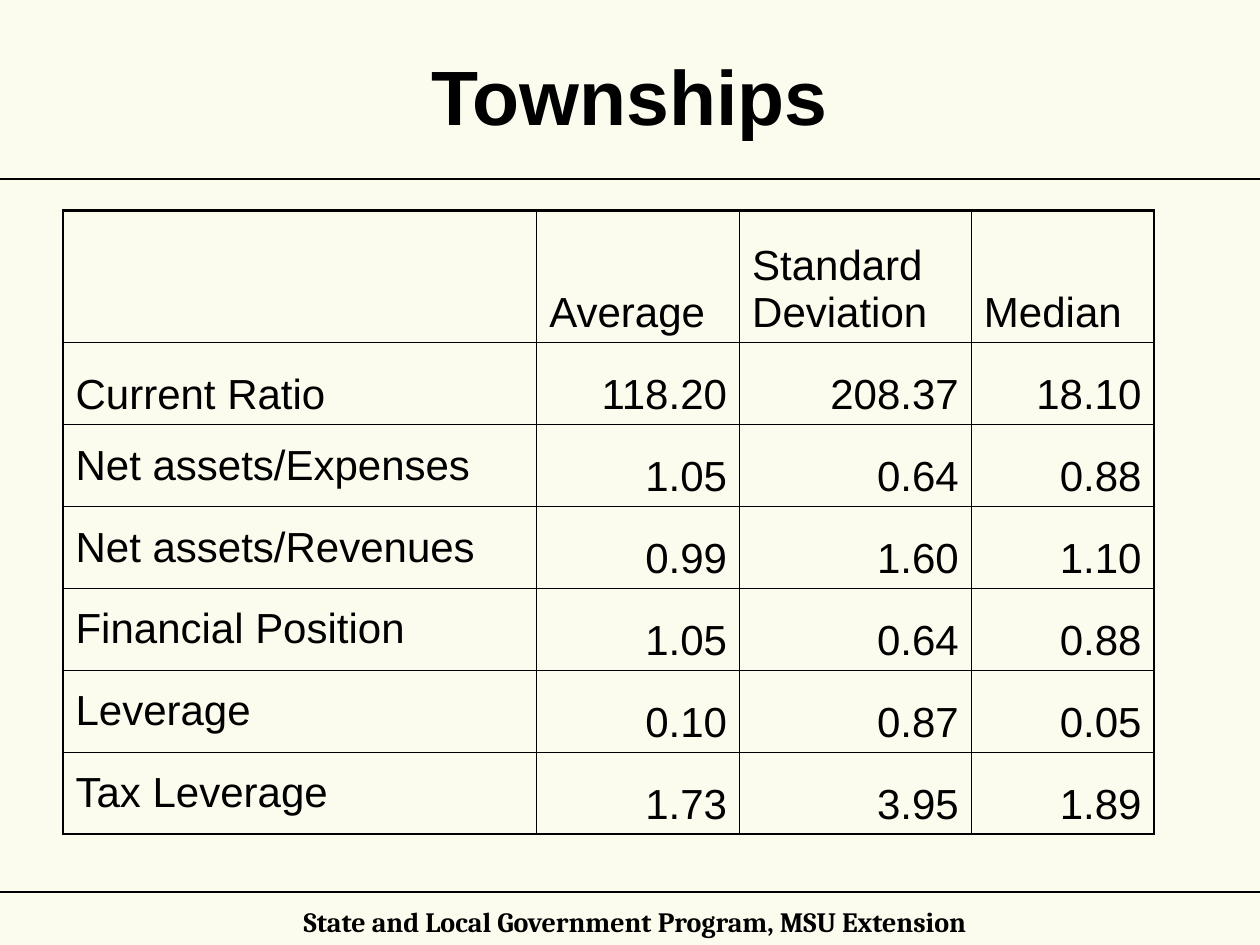
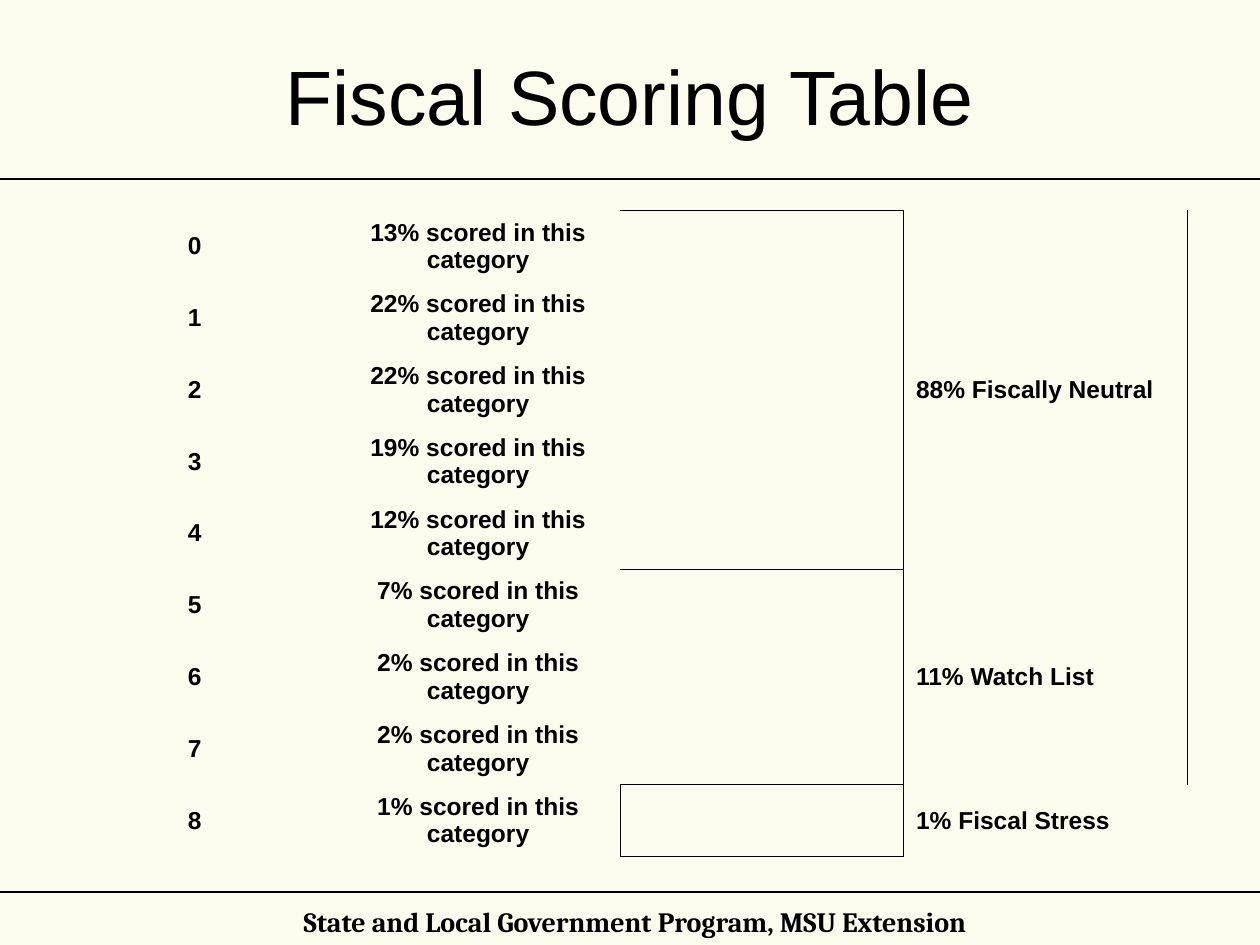
from dataclasses import dataclass

import lxml.etree
import pptx
import pptx.dml.color
import pptx.enum.shapes
import pptx.enum.text
import pptx.oxml.ns
import pptx.presentation
import pptx.slide
import pptx.table
import pptx.util

Inches = pptx.util.Inches
Pt = pptx.util.Pt
Align = pptx.enum.text.PP_ALIGN
Anchor = pptx.enum.text.MSO_ANCHOR
qn = pptx.oxml.ns.qn


@dataclass(frozen=True)
class Theme:
    background: pptx.dml.color.RGBColor = pptx.dml.color.RGBColor(0xFC, 0xFC, 0xEE)
    ink: pptx.dml.color.RGBColor = pptx.dml.color.RGBColor(0, 0, 0)
    body_font: str = "Arial"
    footer_font: str = "Cambria"
    title_size: int = 44
    ratio_size: int = 24
    score_size: int = 14
    footer_size: int = 16
    rule_width: float = 1.25
    thin_border: float = 0.45
    thick_border: float = 1.47


THEME = Theme()
NO_STYLE_NO_GRID = "{2D5ABB26-0587-4C30-8999-92F81FD0307C}"
FOOTER = "State and Local Government Program, MSU Extension"
RULE_TOPS = (1.42, 7.08)


@dataclass(frozen=True)
class TextStyle:
    size: int
    bold: bool = False
    align: Align = Align.LEFT
    anchor: Anchor = Anchor.MIDDLE
    font: str = THEME.body_font


@dataclass(frozen=True)
class Box:
    left: float
    top: float
    width: float
    height: float
    inset_x: float = 0.1
    inset_y: float = 0.05


@dataclass(frozen=True)
class ScoreGroup:
    label: str
    shares: tuple[int, ...]
    bracket_sides: str = "TRB"
    label_sides: str = "LR"


TITLE_BOX = Box(0.5, 0.17, 9, 1.17)
FOOTER_BOX = Box(1, 7.17, 8.08, 0.29, 0.02, 0.01)

RATIO_ROWS = (
    ("", "Average", "Standard\nDeviation", "Median"),
    ("Current Ratio", "118.20", "208.37", "18.10"),
    ("Net assets/Expenses", "1.05", "0.64", "0.88"),
    ("Net assets/Revenues", "0.99", "1.60", "1.10"),
    ("Financial Position", "1.05", "0.64", "0.88"),
    ("Leverage", "0.10", "0.87", "0.05"),
    ("Tax Leverage", "1.73", "3.95", "1.89"),
)

SCORE_GROUPS = (
    ScoreGroup("88% Fiscally Neutral", (13, 22, 22, 19, 12)),
    ScoreGroup("11% Watch List", (7, 2, 2)),
    ScoreGroup("1% Fiscal Stress", (1,), "LTRB", "L"),
)


# Text and shared slide parts
def style_text(frame: pptx.text.text.TextFrame, style: TextStyle) -> None:
    for paragraph in frame.paragraphs:
        paragraph.alignment = style.align
        paragraph.font.name = style.font
        paragraph.font.size = Pt(style.size)
        paragraph.font.bold = style.bold
        paragraph.font.color.rgb = THEME.ink


def add_text(slide: pptx.slide.Slide, box: Box, text: str, style: TextStyle) -> None:
    shape = slide.shapes.add_textbox(
        Inches(box.left), Inches(box.top), Inches(box.width), Inches(box.height))
    frame = shape.text_frame
    frame.word_wrap = True
    frame.vertical_anchor = style.anchor
    frame.margin_left = frame.margin_right = Inches(box.inset_x)
    frame.margin_top = frame.margin_bottom = Inches(box.inset_y)
    frame.text = text
    style_text(frame, style)


def add_rule(slide: pptx.slide.Slide, top: float) -> None:
    line = slide.shapes.add_connector(
        pptx.enum.shapes.MSO_CONNECTOR.STRAIGHT,
        Inches(0), Inches(top), Inches(10), Inches(top))
    line.line.color.rgb = THEME.ink
    line.line.width = Pt(THEME.rule_width)
    lxml.etree.SubElement(line._element.spPr, qn("a:effectLst"))


def add_framed_slide(presentation: pptx.presentation.Presentation, title: str,
                     bold_title: bool = False) -> pptx.slide.Slide:
    slide = presentation.slides.add_slide(presentation.slide_layouts[6])
    add_text(slide, FOOTER_BOX, FOOTER,
             TextStyle(THEME.footer_size, True, Align.CENTER, Anchor.TOP, THEME.footer_font))
    for top in RULE_TOPS:
        add_rule(slide, top)
    add_text(slide, TITLE_BOX, title, TextStyle(THEME.title_size, bold_title, Align.CENTER))
    return slide


# Tables
def add_plain_table(slide: pptx.slide.Slide, left: float, top: float,
                    widths: list[float], heights: list[float]) -> pptx.table.Table:
    table = slide.shapes.add_table(
        len(heights), len(widths), Inches(left), Inches(top),
        Inches(sum(widths)), Inches(sum(heights))).table
    table.first_row = table.horz_banding = False
    table._tbl.tblPr.find(qn("a:tableStyleId")).text = NO_STYLE_NO_GRID
    for column, width in zip(table.columns, widths):
        column.width = Inches(width)
    for row, height in zip(table.rows, heights):
        row.height = Inches(height)
    for cell in table.iter_cells():
        cell.fill.background()
    return table


def fill_cell(cell: pptx.table._Cell, text: str, style: TextStyle) -> None:
    cell.text = text
    cell.vertical_anchor = style.anchor
    style_text(cell.text_frame, style)


def set_borders(cell: pptx.table._Cell, widths: dict[str, float]) -> None:
    properties = cell._tc.get_or_add_tcPr()
    sides = [side for side in "LRTB" if side in widths]
    for position, side in enumerate(sides):
        line = lxml.etree.Element(qn(f"a:ln{side}"), w=str(int(Pt(widths[side]))))
        fill = lxml.etree.SubElement(line, qn("a:solidFill"))
        lxml.etree.SubElement(fill, qn("a:srgbClr"), val=str(THEME.ink))
        properties.insert(position, line)


# Slides
def build_townships(presentation: pptx.presentation.Presentation) -> None:
    slide = add_framed_slide(presentation, "Townships", bold_title=True)
    last_row, last_column = len(RATIO_ROWS) - 1, len(RATIO_ROWS[0]) - 1
    table = add_plain_table(slide, 0.5, 1.67, [3.76, 1.61, 1.84, 1.45],
                            [1.05] + [0.65] * last_row)
    for row, values in enumerate(RATIO_ROWS):
        for column, value in enumerate(values):
            cell = table.cell(row, column)
            is_number = row > 0 and column > 0
            is_centred = row > 1 and column == 0
            fill_cell(cell, value, TextStyle(
                THEME.ratio_size,
                align=Align.RIGHT if is_number else Align.LEFT,
                anchor=Anchor.MIDDLE if is_centred else Anchor.BOTTOM))
            outer = {"L": column == 0, "R": column == last_column,
                     "T": row == 0, "B": row == last_row}
            set_borders(cell, {side: THEME.thick_border if is_outer else THEME.thin_border
                               for side, is_outer in outer.items()})


def build_scoring(presentation: pptx.presentation.Presentation) -> None:
    slide = add_framed_slide(presentation, "Fiscal Scoring Table")
    score_count = sum(len(group.shares) for group in SCORE_GROUPS)
    table = add_plain_table(slide, 0.42, 1.67, [2.25] * 4, [0.57] * score_count)
    centred = TextStyle(THEME.score_size, True, Align.CENTER)
    label_style = TextStyle(THEME.score_size, True)
    first = 0
    for group in SCORE_GROUPS:
        last = first + len(group.shares) - 1
        for score, share in enumerate(group.shares, first):
            fill_cell(table.cell(score, 0), str(score), centred)
            fill_cell(table.cell(score, 1), f"{share}% scored in this category", centred)
        # Bracket and label span all scores of the group
        for column, text, sides in ((2, "", group.bracket_sides),
                                    (3, group.label, group.label_sides)):
            cell = table.cell(first, column)
            if last > first:
                cell.merge(table.cell(last, column))
            fill_cell(cell, text, label_style)
            set_borders(cell, dict.fromkeys(sides, THEME.thin_border))
        first = last + 1


def main() -> None:
    presentation = pptx.Presentation()
    presentation.slide_width, presentation.slide_height = Inches(10), Inches(7.5)
    background = presentation.slide_master.background.fill
    background.solid()
    background.fore_color.rgb = THEME.background
    build_townships(presentation)
    build_scoring(presentation)
    presentation.save("out.pptx")


if __name__ == "__main__":
    main()
